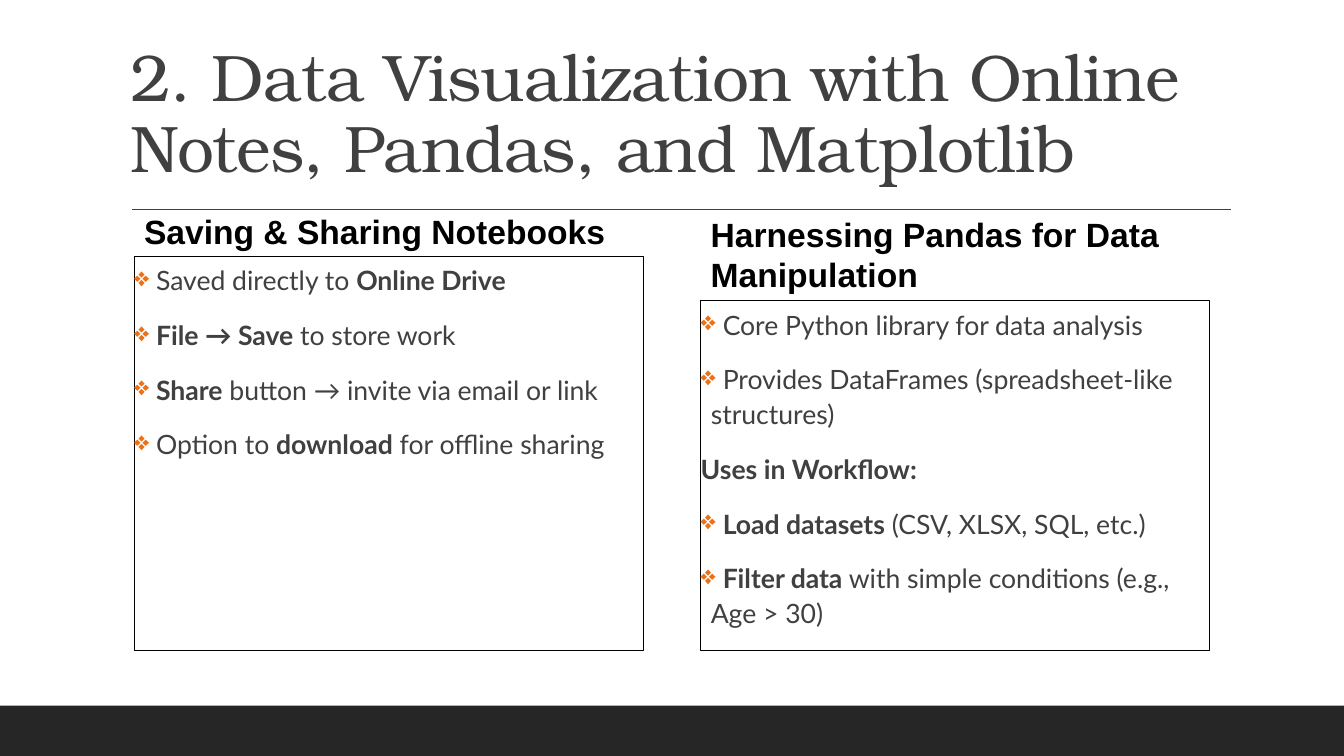
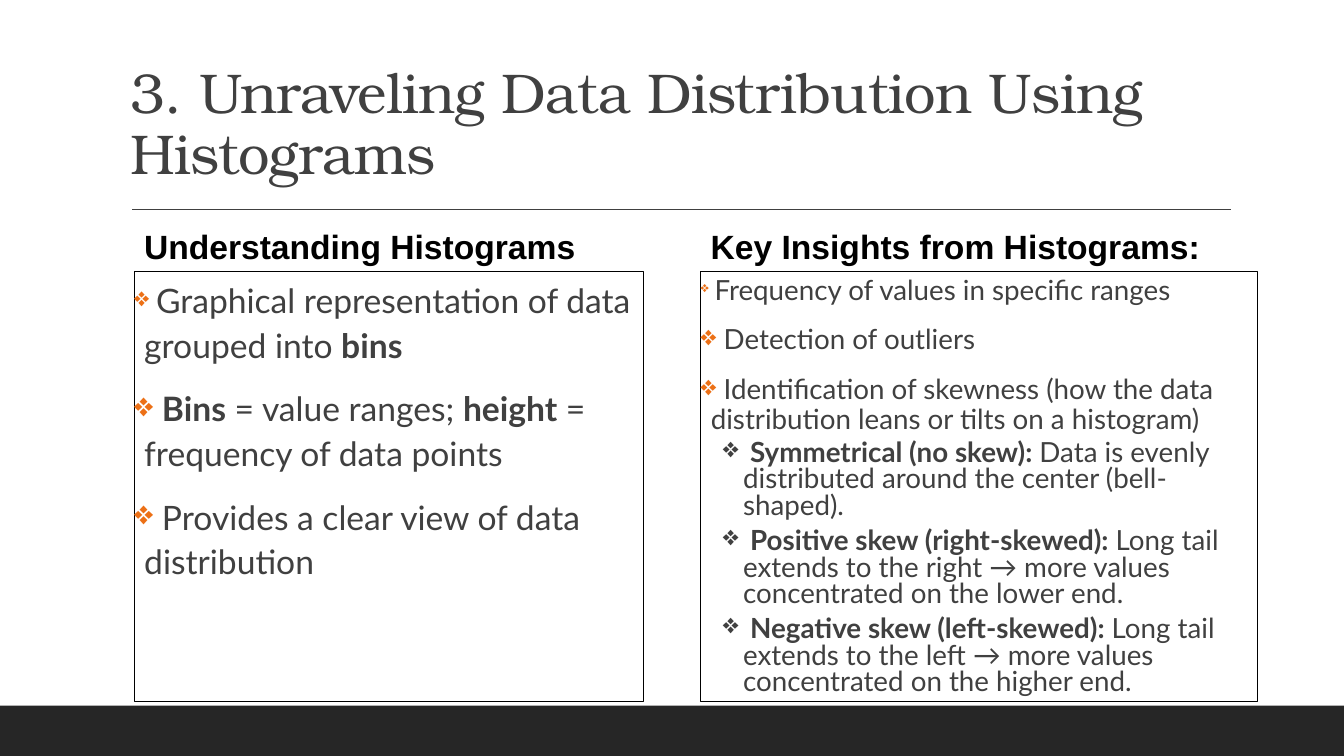
"""Build two text slides on data visualization and histograms."""
import pptx
import pptx.dml.color
import pptx.enum.shapes
import pptx.enum.text
import pptx.util
from lxml import etree
from pptx.oxml.ns import qn

Inches = pptx.util.Inches
Pt = pptx.util.Pt
RGBColor = pptx.dml.color.RGBColor
ANCHOR = pptx.enum.text.MSO_ANCHOR

BLACK = RGBColor(0x00, 0x00, 0x00)
BAND = RGBColor(0x26, 0x26, 0x26)
TEXT = RGBColor(0x40, 0x40, 0x40)
ORANGE = RGBColor(0xEC, 0x70, 0x16)

TITLE_FONT = "TeX Gyre Bonum"
HEADING_FONT = "Arial"
BODY_FONT = "Lato"

LEFT, RIGHT = 1.33, 6.95
PANEL_W = 5.05

PLAIN = dict(margin=0, indent=0, before=12, after=2, bullet=None)
ITEM = dict(margin=0.1, indent=-0.1, before=12, after=2, bullet=ORANGE)
SUBITEM = dict(margin=0.42, indent=-0.2, before=2, after=4, bullet=TEXT)


def add_run(p, text, size, font, color, bold=False):
    r = p.add_run()
    r.text = text
    r.font.size = Pt(size)
    r.font.name = font
    r.font.color.rgb = color
    r.font.bold = bold
    return r


def add_box(s, x, y, w, h, anchor=ANCHOR.TOP):
    sp = s.shapes.add_textbox(Inches(x), Inches(y), Inches(w), Inches(h))
    tf = sp.text_frame
    tf.word_wrap = True
    tf.vertical_anchor = anchor
    return sp


def add_frame(s):
    band = s.shapes.add_shape(pptx.enum.shapes.MSO_SHAPE.RECTANGLE,
                              0, Inches(7), Inches(13.33), Inches(0.5))
    band.shadow.inherit = False
    band.fill.solid()
    band.fill.fore_color.rgb = BAND
    band.line.fill.background()
    rule = s.shapes.add_connector(pptx.enum.shapes.MSO_CONNECTOR.STRAIGHT,
                                  Inches(1.31), Inches(2.08), Inches(12.21), Inches(2.08))
    rule.line.color.rgb = TEXT
    rule.line.width = Pt(1)
    etree.SubElement(rule._element.spPr, qn("a:effectLst"))


def add_title(s, text, size):
    p = add_box(s, 1.2, 0.31, 11, 1.59, ANCHOR.BOTTOM).text_frame.paragraphs[0]
    p.line_spacing = 0.9
    r = add_run(p, text, size, TITLE_FONT, TEXT)
    r._r.get_or_add_rPr().set("spc", "-50")


def add_heading(s, text, x, bottom, h=0.5):
    p = add_box(s, x, bottom - h, 5.25, h).text_frame.paragraphs[0]
    add_run(p, text, 24, HEADING_FONT, BLACK, True)


def format_paragraph(p, style, spacing, first):
    p.line_spacing = spacing
    p.space_before = Pt(0 if first else style["before"])
    p.space_after = Pt(style["after"])
    pPr = p._p.get_or_add_pPr()
    pPr.set("marL", str(Inches(style["margin"])))
    pPr.set("indent", str(Inches(style["indent"])))
    if style["bullet"] is None:
        etree.SubElement(pPr, qn("a:buNone"))
        return
    color = etree.SubElement(pPr, qn("a:buClr"))
    etree.SubElement(color, qn("a:srgbClr")).set("val", str(style["bullet"]))
    etree.SubElement(pPr, qn("a:buChar")).set("char", "❖")


def add_panel(s, x, top, w, bottom, size, items, spacing=1.1, first_lead=None):
    """Draw an outlined list; ** toggles bold and first_lead sizes the first gap."""
    sp = add_box(s, x, top, w, bottom - top)
    sp.line.color.rgb = BLACK
    sp.line.width = Pt(0.75)
    tf = sp.text_frame
    tf.margin_left = tf.margin_right = 0
    for i, (style, text, *sub_spacing) in enumerate(items):
        p = tf.add_paragraph() if i else tf.paragraphs[0]
        format_paragraph(p, style, sub_spacing[0] if sub_spacing else spacing, i == 0)
        if style["bullet"] is not None:
            lead = first_lead if i == 0 and first_lead else size
            add_run(p, " ", lead, BODY_FONT, TEXT)
        for j, part in enumerate(text.split("**")):
            if part:
                add_run(p, part, size, BODY_FONT, TEXT, j % 2 == 1)


def add_slide(prs, title, size):
    s = prs.slides.add_slide(prs.slide_layouts[6])
    add_frame(s)
    add_title(s, title, size)
    return s


def build_notebooks(prs):
    s = add_slide(prs, "2. Data Visualization with Online Notes, Pandas, and Matplotlib", 47)
    bottom = 6.45
    add_panel(s, LEFT, 2.54, PANEL_W, bottom, 19, [
        (ITEM, "Saved directly to **Online Drive**"),
        (ITEM, "**File → Save** to store work"),
        (ITEM, "**Share** button → invite via email or link"),
        (ITEM, "Option to **download** for offline sharing"),
    ])
    add_heading(s, "Saving & Sharing Notebooks", LEFT, 2.54)
    add_heading(s, "Harnessing Pandas for Data Manipulation", RIGHT, 2.98, 0.91)
    add_panel(s, RIGHT, 2.98, PANEL_W, bottom, 19, [
        (ITEM, "Core Python library for data analysis"),
        (ITEM, "Provides DataFrames (spreadsheet-like structures)"),
        (PLAIN, "**Uses in Workflow:**"),
        (ITEM, "**Load datasets** (CSV, XLSX, SQL, etc.)"),
        (ITEM, "**Filter data** with simple conditions (e.g., Age > 30)"),
    ])


def build_histograms(prs):
    s = add_slide(prs, "3. Unraveling Data Distribution Using Histograms", 40)
    top, bottom = 2.69, 6.96
    add_panel(s, LEFT, top, PANEL_W, bottom, 24, [
        (ITEM, "Graphical representation of data grouped into **bins**"),
        (ITEM, "**Bins** = value ranges; **height** = frequency of data points"),
        (ITEM, "Provides a clear view of data distribution"),
    ], first_lead=19)
    add_heading(s, "Understanding Histograms", LEFT, top)
    add_heading(s, "Key Insights from Histograms:", RIGHT, top)
    add_panel(s, RIGHT, top, 5.52, bottom, 19.8, [
        (ITEM, "Frequency of values in specific ranges"),
        (ITEM, "Detection of outliers"),
        (ITEM, "Identification of skewness (how the data distribution leans or tilts "
               "on a histogram)"),
        (SUBITEM, "**Symmetrical (no skew):** Data is evenly distributed around "
                  "the center (bell-shaped).", 0.8),
        (SUBITEM, "**Positive skew (right-skewed):** Long tail extends to the right "
                  "→ more values concentrated on the lower end.", 0.8),
        (SUBITEM, "**Negative skew (left-skewed):** Long tail extends to the left "
                  "→ more values concentrated on the higher end.", 0.8),
    ], spacing=0.9, first_lead=10.4)


def main():
    prs = pptx.Presentation()
    prs.slide_width = Inches(13.33)
    prs.slide_height = Inches(7.5)
    build_notebooks(prs)
    build_histograms(prs)
    prs.save("out.pptx")


if __name__ == "__main__":
    main()
